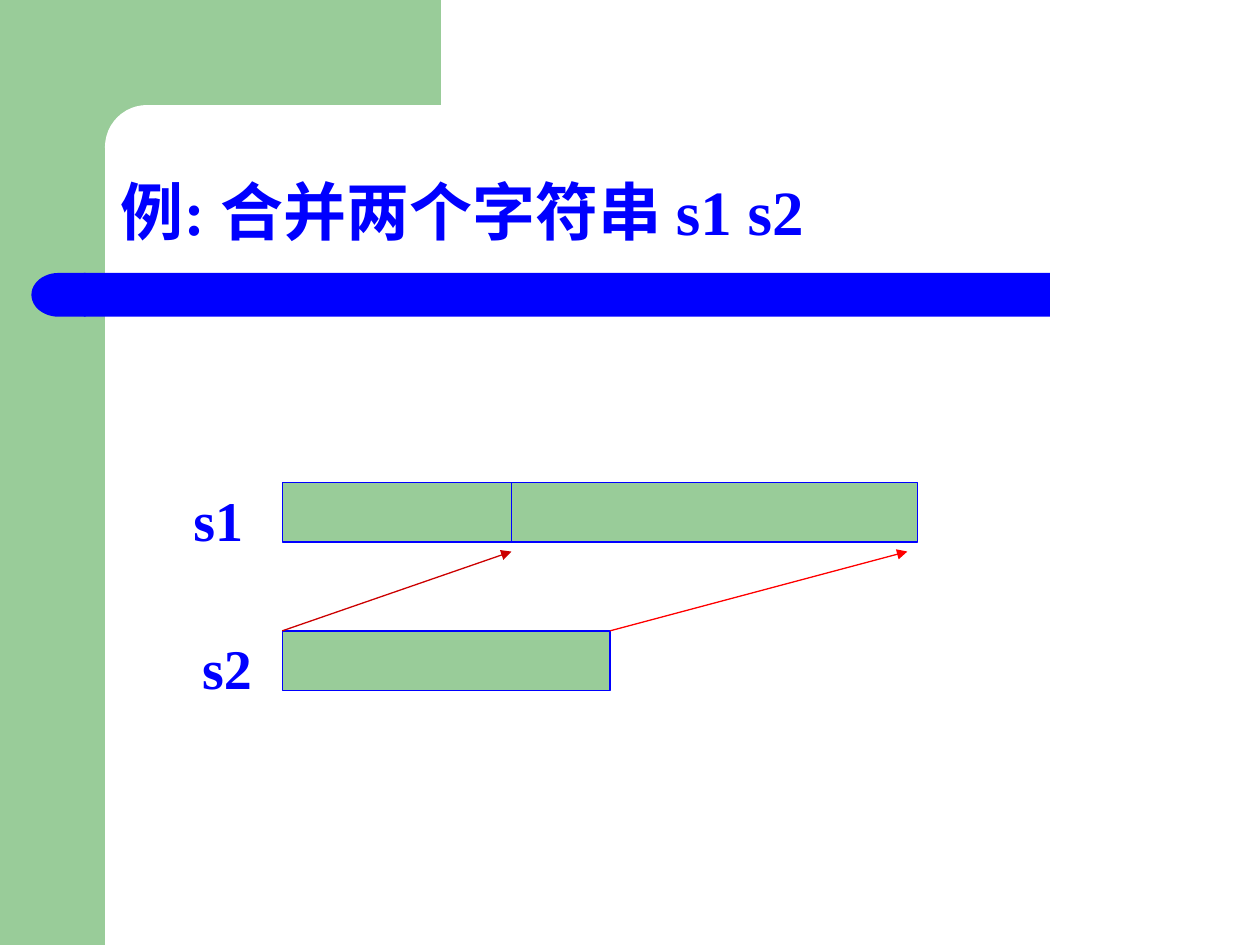
from lxml import etree
from pptx import Presentation
from pptx.dml.color import RGBColor
from pptx.enum.shapes import MSO_CONNECTOR, MSO_SHAPE
from pptx.enum.text import PP_ALIGN
from pptx.oxml.ns import qn
from pptx.util import Pt

RECT = MSO_SHAPE.RECTANGLE
ROUND = MSO_SHAPE.ROUNDED_RECTANGLE
DELAY = MSO_SHAPE.FLOWCHART_DELAY
LINE = MSO_CONNECTOR.STRAIGHT
LEFT, JUST = PP_ALIGN.LEFT, PP_ALIGN.JUSTIFY
FONT = "Times New Roman"
HUES = {"green": "99CC99", "white": "FFFFFF", "blue": "0000FF",
        "dark": "CC0000", "red": "FF0000"}


def hue(name):
    return RGBColor.from_string(HUES[name])


def add_block(slide, kind, box, fill, edge=None):
    block = slide.shapes.add_shape(kind, *map(Pt, box))
    block.shadow.inherit = False
    block.fill.solid()
    block.fill.fore_color.rgb = hue(fill)
    if edge:
        block.line.color.rgb = hue(edge)
        block.line.width = Pt(0.75)
    else:
        block.line.fill.background()
    return block


def add_text(slide, box, text, size, top, align=LEFT):
    frame = slide.shapes.add_textbox(*map(Pt, box)).text_frame
    frame.word_wrap = True
    frame.margin_top = Pt(top)
    frame.text = text
    para = frame.paragraphs[0]
    para.alignment = align
    font = para.runs[0].font
    font.name = FONT
    font.size = Pt(size)
    font.bold = True
    font.color.rgb = hue("blue")


def add_line(slide, start, end, color, arrow=False):
    line = slide.shapes.add_connector(LINE, *map(Pt, start + end))
    line.line.color.rgb = hue(color)
    line.line.width = Pt(0.75)
    props = line._element.spPr
    if arrow:
        tail = etree.SubElement(props.find(qn("a:ln")), qn("a:tailEnd"))
        tail.set("type", "triangle")
    etree.SubElement(props, qn("a:effectLst"))


def add_frame(slide):
    add_block(slide, RECT, (0, 0, 60, 540), "green")
    add_block(slide, RECT, (54, 0, 198, 84), "green")
    panel = add_block(slide, ROUND, (60, 60, 402, 48), "white")
    panel.adjustments[0] = 0.5
    add_block(slide, RECT, (48, 156, 552, 25), "blue")
    cap = add_block(slide, DELAY, (18, 156, 31, 25), "blue")
    cap._element.spPr.find(qn("a:xfrm")).set("flipH", "1")


def add_merge(slide):
    left, high, split = 161.3, 34, 292.3
    top1, top2 = 275.8, 360.5
    wide1, wide2 = 363, 187.3
    tip = 315.2
    for top, wide in ((top1, wide1), (top2, wide2)):
        add_block(slide, RECT, (left, top, wide, high), "green", "blue")
    add_line(slide, (split, top1), (split, top1 + high), "blue")
    add_text(slide, (103.4, top1 - 5.8, 97, 45), "s1", 32, 7.2)
    add_text(slide, (108.4, top2 - 5.8, 87, 45), "s2", 32, 7.2)
    add_line(slide, (left, top2), (split, tip), "dark", True)
    add_line(slide, (left + wide2, top2), (518.5, tip), "red", True)


def main():
    deck = Presentation()
    deck.slide_width, deck.slide_height = Pt(720), Pt(540)
    slide = deck.slides.add_slide(deck.slide_layouts[6])
    add_frame(slide)
    add_text(slide, (62, 93, 623, 50.5), "例: 合并两个字符串 s1 s2", 36, 5.5, JUST)
    add_merge(slide)
    deck.save("out.pptx")


if __name__ == "__main__":
    main()
